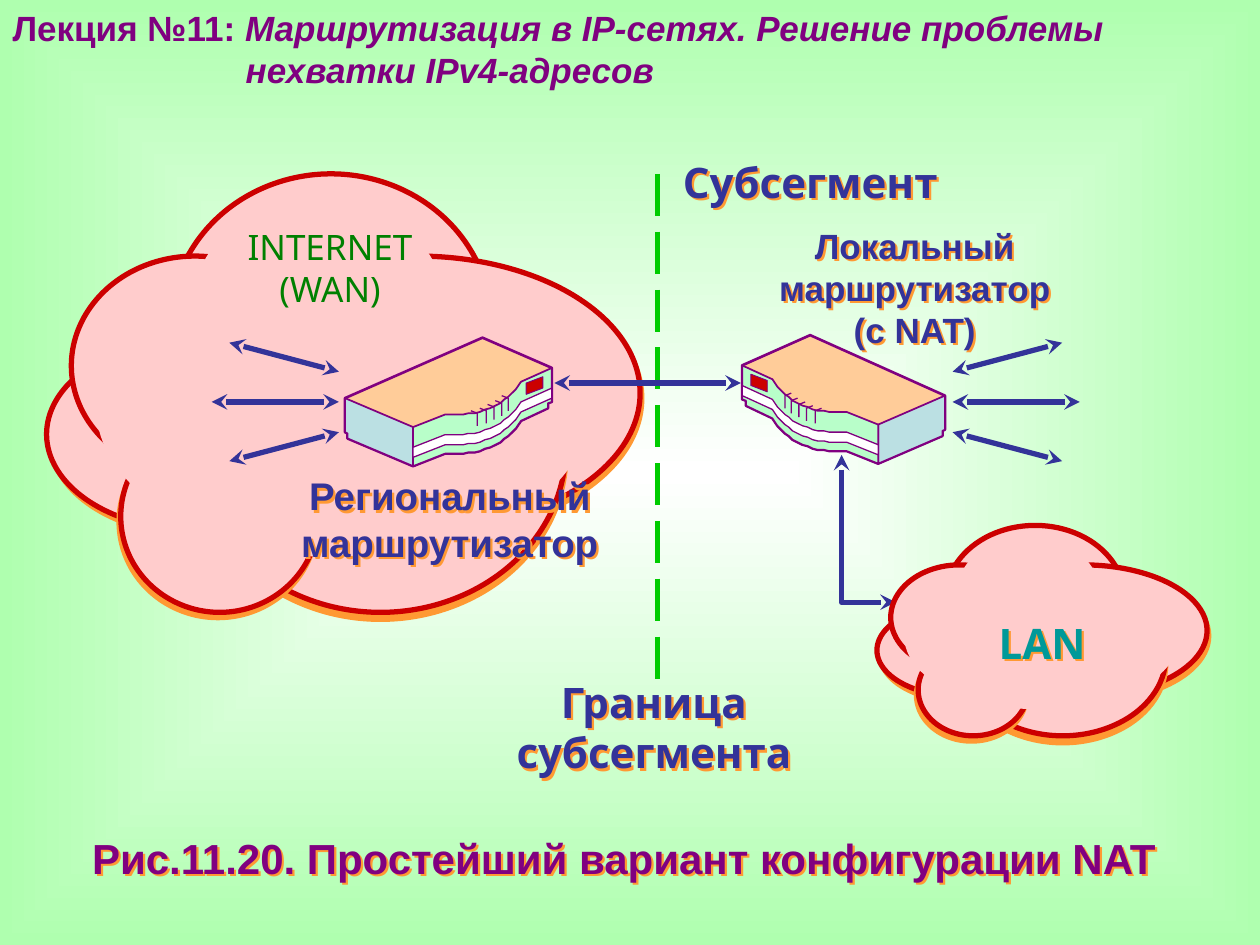
from dataclasses import dataclass
from typing import NamedTuple

from lxml import etree
from pptx import Presentation
from pptx.dml.color import RGBColor
from pptx.enum.dml import MSO_LINE
from pptx.enum.shapes import MSO_CONNECTOR, MSO_SHAPE
from pptx.enum.text import MSO_ANCHOR, MSO_AUTO_SIZE, PP_ALIGN
from pptx.oxml.ns import qn
from pptx.util import Inches, Pt

STRAIGHT, OVAL, LONG_DASH = MSO_CONNECTOR.STRAIGHT, MSO_SHAPE.OVAL, MSO_LINE.LONG_DASH
TOP, GROW, FIXED = MSO_ANCHOR.TOP, MSO_AUTO_SIZE.SHAPE_TO_FIT_TEXT, MSO_AUTO_SIZE.NONE
LEFT, CENTER = PP_ALIGN.LEFT, PP_ALIGN.CENTER
TITLE_ONLY = 5
COLORS = {
    "white": "FFFFFF", "mint": "AFFFAF", "purple": "800080", "pink": "FFCCCC",
    "red": "CC0000", "orange": "FF9933", "navy": "333399", "lime": "00CC00",
    "green": "008000", "teal": "009999", "peach": "FFCC99", "ice": "BBE0E3",
    "panel": "B8FEC9",
}
Point = tuple[float, float]


class Puff(NamedTuple):
    """Ellipse of a cloud, in cells of the cloud's grid."""
    column: int
    row: int
    columns: int
    rows: int
    outlined: bool = True
    shadow: tuple[float, int] | None = None


CLOUD_COLUMNS, CLOUD_ROWS = 24, 16
PUFFS = (
    Puff(5, 0, 13, 11), Puff(6, 3, 18, 10, shadow=(3.2, 72)),
    Puff(0, 6, 12, 7, shadow=(3.6, 56)), Puff(1, 3, 10, 8),
    Puff(6, 4, 15, 12, shadow=(4, 90)), Puff(3, 9, 8, 7, shadow=(3.2, 108)),
    Puff(2, 3, 20, 11, outlined=False), Puff(6, 1, 10, 7, outlined=False),
)

# Router outline in inches, measured from its front top corner
FRONT_EDGE = [
    (0, .24), (.24, .35), (.26, .38), (.28, .41), (.31, .44), (.34, .47), (.37, .49),
    (.40, .52), (.44, .54), (.48, .56), (.52, .57), (.56, .59), (.60, .60), (.65, .60),
    (.69, .61), (.83, .61), (1.08, .71),
]
FOOT = [(0, .51), (.03, .52), (.03, .56)]
SIDE = [(1.59, .80), (1.59, .76), (1.61, .75), (1.61, .48)]
BADGE = [(.07, .40), (.20, .45), (.20, .36), (.07, .31)]
VENTS = [(.50, .53), (.56, .56), (.63, .58), (.39, .46), (.44, .50)]


@dataclass
class Label:
    lines: tuple[str, ...]
    place: tuple[float, float, float, float]
    size: int
    color: str
    font: str = "Arial"
    bold: bool = True
    shadowed: bool = True
    inset: bool = False
    wrap: bool = True
    autosize: MSO_AUTO_SIZE = GROW


LABELS = (
    Label((" INTERNET ", "(WAN)"), (1.75, 1.74, 1.74, .64), 20, "green", "Noto Sans",
          bold=False, shadowed=False, inset=True, wrap=False, autosize=FIXED),
    Label(("Региональный", "маршрутизатор"), (2.29, 3.75, 2.56, .73), 22, "navy"),
    Label(("Локальный", "маршрутизатор", "(с NAT)"), (6.08, 1.78, 2.36, 1.03), 20, "navy",
          autosize=FIXED),
    Label(("LAN",), (7.76, 4.9, 1.02, .4), 24, "teal", "Noto Sans"),
    Label(("Граница", "субсегмента"), (4.06, 5.37, 2.26, .8), 24, "navy", "Noto Sans"),
    Label(("Субсегмент",), (5.34, 1.24, 2.18, .4), 24, "navy", "Noto Sans"),
    Label(("Рис.11.20. Простейший вариант конфигурации NAT ",), (0, 6.56, 10, .5), 24,
          "purple", inset=True),
)


def rgb(name: str) -> RGBColor:
    return RGBColor.from_string(COLORS[name])


def assign(target, values: dict) -> None:
    for name, value in values.items():
        setattr(target, name, value)


def place(shape, box) -> None:
    assign(shape, dict(zip(("left", "top", "width", "height"), map(Inches, box))))


def add_color(parent, name: str) -> None:
    etree.SubElement(parent, qn("a:srgbClr"), val=COLORS[name])


def cast_shadow(shape, distance: float, angle: int) -> None:
    shape.shadow.inherit = False
    effects = shape.element.spPr.find(qn("a:effectLst"))
    shadow = etree.SubElement(effects, qn("a:outerShdw"), blurRad="0", algn="ctr",
                              dist=str(Pt(distance)), dir=str(angle * 60000), rotWithShape="0")
    add_color(shadow, "orange")


def stroke(shape, color: str, width: float, arrows: bool = False) -> None:
    shape.line.color.rgb = rgb(color)
    shape.line.width = Pt(width)
    if arrows:
        line = shape.element.spPr.find(qn("a:ln"))
        for end in ("a:headEnd", "a:tailEnd"):
            etree.SubElement(line, qn(end), type="stealth")


def add_line(shapes, start: Point, end: Point, color: str = "navy", arrows: bool = True):
    line = shapes.add_connector(STRAIGHT, *map(Inches, start + end))
    stroke(line, color, 3, arrows)
    etree.SubElement(line.element.spPr, qn("a:effectLst"))
    return line


def add_outline(shapes, points: list[Point], fill: str | None, color: str, width: float,
                arrows: bool = False) -> None:
    """Draw a closed filled polygon, or an open line when there is no fill."""
    corners = [(Inches(x), Inches(y)) for x, y in points]
    builder = shapes.build_freeform(*corners[0])
    builder.add_line_segments(corners[1:], close=fill is not None)
    shape = builder.convert_to_shape()
    shape.shadow.inherit = False
    if fill:
        shape.fill.solid()
        shape.fill.fore_color.rgb = rgb(fill)
    else:
        shape.fill.background()
    stroke(shape, color, width, arrows)


def add_cloud(page, left: float, top: float, width: float, height: float) -> None:
    shapes = page.shapes.add_group_shape().shapes
    cell_width, cell_height = width / CLOUD_COLUMNS, height / CLOUD_ROWS
    for puff in PUFFS:
        oval = shapes.add_shape(OVAL, 0, 0, 0, 0)
        place(oval, (left + puff.column * cell_width, top + puff.row * cell_height,
                     puff.columns * cell_width, puff.rows * cell_height))
        oval.shadow.inherit = False
        oval.fill.solid()
        oval.fill.fore_color.rgb = rgb("pink")
        if puff.outlined:
            stroke(oval, "red", 3)
        else:
            oval.line.fill.background()
        if puff.shadow:
            cast_shadow(oval, *puff.shadow)


def lowered(points: list[Point], drop: float) -> list[Point]:
    return [(x, y + drop) for x, y in points]


def add_router(page, left: float, top: float, stretch: float) -> None:
    """Draw a router from its front corner; a negative stretch mirrors it."""
    shapes = page.shapes.add_group_shape().shapes
    bottom = FOOT + lowered(FRONT_EDGE[1:], .31)
    stripe = lowered(FRONT_EDGE, .16) + lowered(FRONT_EDGE, .24)[::-1]
    parts = [
        (FRONT_EDGE[:1] + bottom + SIDE + [(.54, 0)], "peach", 1.5),
        (bottom[-1:] + SIDE + FRONT_EDGE[-1:], "ice", 1),
        (bottom + FRONT_EDGE[::-1], "panel", 1),
        (BADGE, "red", .5),
        (stripe, "white", .75),
    ]
    parts += [([(x, y), (x - .05, y + .02), (x - .05, y + .12)], None, .75) for x, y in VENTS]
    for points, fill, width in parts:
        placed = [(left + x * stretch, top + y) for x, y in points]
        add_outline(shapes, placed, fill, "purple", width)


def add_fan(page, hub: float, side: int) -> None:
    shapes = page.shapes.add_group_shape().shapes
    for reach, rise, spread in ((1.01, 0, 0), (.87, .47, .24), (.87, -.47, -.24)):
        add_line(shapes, (hub + side * reach, 3.19 + rise), (hub, 3.19 + spread))


def add_label(page, label: Label) -> None:
    box = page.shapes.add_textbox(0, 0, 0, 0)
    frame = box.text_frame
    assign(frame, {"word_wrap": label.wrap, "auto_size": label.autosize})
    if not label.inset:
        assign(frame, dict.fromkeys(
            ("margin_left", "margin_top", "margin_right", "margin_bottom"), 0))
    place(box, label.place)
    for number, line in enumerate(label.lines):
        para = frame.add_paragraph() if number else frame.paragraphs[0]
        para.alignment = CENTER
        span = para.add_run()
        span.text = line
        assign(span.font, {"size": Pt(label.size), "bold": label.bold, "name": label.font})
        span.font.color.rgb = rgb(label.color)
    if label.shadowed:
        cast_shadow(box, 1.8, 45)


def fill_title(page) -> None:
    title = page.shapes.title
    place(title, (0, 0, 9.03, .77))
    frame = title.text_frame
    assign(frame, {"vertical_anchor": TOP, "auto_size": GROW, "word_wrap": True})
    lines = (
        (("Лекция №11: ", False), ("Маршрутизация в IP-сетях. Решение проблемы", True)),
        (("нехватки IPv4-адресов", True),),
    )
    for number, line in enumerate(lines):
        para = frame.add_paragraph() if number else frame.paragraphs[0]
        assign(para, {"alignment": LEFT, "space_before": Pt(0), "line_spacing": 1.0})
        for text, italic in line:
            span = para.add_run()
            span.text = text
            assign(span.font, {"size": Pt(20), "bold": True, "italic": italic, "name": "Arial"})
            span.font.color.rgb = rgb("purple")
    frame.paragraphs[1]._p.get_or_add_pPr().set("marL", str(Inches(1.85)))


def paint_background(page) -> None:
    fill = page.background.fill
    fill.gradient()
    for stop, color in zip(fill.gradient_stops, ("white", "mint")):
        stop.color.rgb = rgb(color)
    gradient = page.element.find(".//" + qn("a:gradFill"))
    gradient.remove(gradient.find(qn("a:lin")))
    center = etree.SubElement(gradient, qn("a:path"), {"path": "shape"})
    etree.SubElement(center, qn("a:fillToRect"), dict.fromkeys("ltrb", "50000"))


def main() -> None:
    deck = Presentation()
    assign(deck, {"slide_width": Inches(10), "slide_height": Inches(7.5)})
    page = deck.slides.add_slide(deck.slide_layouts[TITLE_ONLY])
    paint_background(page)
    fill_title(page)
    add_cloud(page, .37, 1.38, 4.71, 3.48)
    add_outline(page.shapes, [(6.68, 3.61), (6.68, 4.78), (7.11, 4.78)], None, "navy", 3, True)
    add_cloud(page, 6.96, 4.17, 2.62, 1.67)
    border = add_line(page.shapes, (5.22, 1.38), (5.22, 5.46), "lime", arrows=False)
    border.line.dash_style = LONG_DASH
    add_line(page.shapes, (4.4, 3.04), (5.88, 3.04))
    for label in LABELS:
        add_label(page, label)
    add_router(page, 5.89, 2.66, 1)
    add_router(page, 4.38, 2.68, -1.02)
    add_fan(page, 2.69, -1)
    add_fan(page, 7.56, 1)
    deck.save("out.pptx")


if __name__ == "__main__":
    main()
